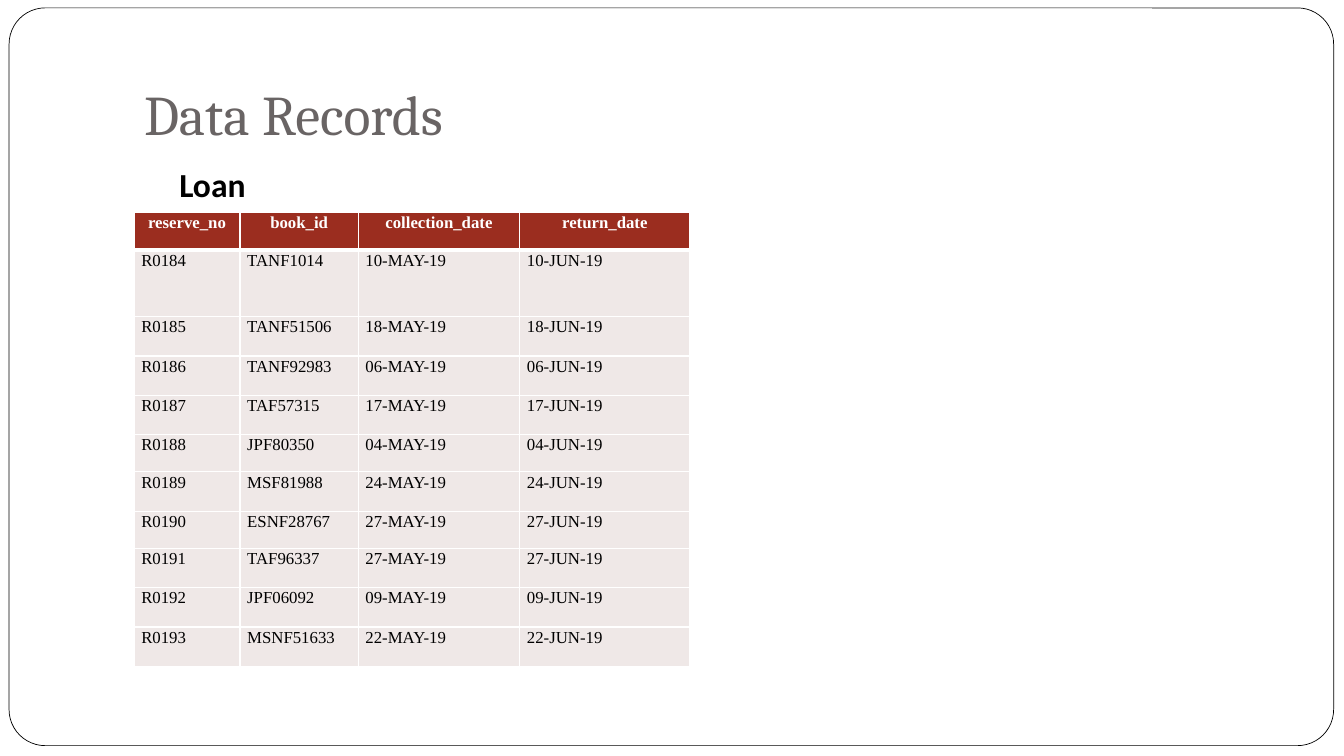
from dataclasses import dataclass

from lxml.etree import SubElement
from pptx import Presentation
from pptx.dml.color import RGBColor
from pptx.enum.shapes import MSO_SHAPE
from pptx.enum.text import MSO_ANCHOR, PP_ALIGN
from pptx.oxml.ns import qn
from pptx.util import Cm, Pt

TITLE = "Data Records"
LABEL = "Loan"
HEADS = ("reserve_no", "book_id", "collection_date", "return_date")
LOANS = [
    ("R0184", "TANF1014", "10-MAY-19", "10-JUN-19"),
    ("R0185", "TANF51506", "18-MAY-19", "18-JUN-19"),
    ("R0186", "TANF92983", "06-MAY-19", "06-JUN-19"),
    ("R0187", "TAF57315", "17-MAY-19", "17-JUN-19"),
    ("R0188", "JPF80350", "04-MAY-19", "04-JUN-19"),
    ("R0189", "MSF81988", "24-MAY-19", "24-JUN-19"),
    ("R0190", "ESNF28767", "27-MAY-19", "27-JUN-19"),
    ("R0191", "TAF96337", "27-MAY-19", "27-JUN-19"),
    ("R0192", "JPF06092", "09-MAY-19", "09-JUN-19"),
    ("R0193", "MSNF51633", "22-MAY-19", "22-JUN-19"),
]
WIDTHS = (2.67, 2.98, 4.07, 4.29)
HEIGHTS = (0.94, 1.68, 0.99, 0.99, 0.99, 0.94, 0.99, 0.94, 0.99, 0.99, 0.99)
LEFT, WIDE = 3.38, 28.78


@dataclass(frozen=True)
class Theme:
    white: str = "FFFFFF"
    black: str = "000000"
    grey: str = "696464"
    red: str = "9B2D1F"
    pale: str = "EFE8E7"
    title: int = 40
    label: int = 24
    cell: int = 12
    serif: str = "Cambria"
    sans: str = "Calibri"
    roman: str = "Times New Roman"


THEME = Theme()


def paint(fill, color):
    fill.solid()
    fill.fore_color.rgb = RGBColor.from_string(color)


def place(shape, *box):
    shape.left, shape.top, shape.width, shape.height = map(Cm, box)


def write(frame, text, *, font, size, color, bold=False, align=PP_ALIGN.LEFT,
          line=1.0, before=0, anchor=MSO_ANCHOR.TOP, pads=(0.25, 0.13, 0.25, 0.13)):
    """Fill a text frame with one paragraph; pads are left, top, right, bottom."""
    frame.word_wrap = True
    frame.vertical_anchor = anchor
    (frame.margin_left, frame.margin_top,
     frame.margin_right, frame.margin_bottom) = map(Cm, pads)
    para = frame.paragraphs[0]
    para.alignment, para.line_spacing = align, line
    para.space_before = Pt(before)
    run = para.add_run()
    run.text = text
    run.font.name, run.font.size, run.font.bold = font, Pt(size), bold
    run.font.color.rgb = RGBColor.from_string(color)


def edge(cell, foot, roof):
    """Draw white borders, with the given bottom and top widths in points."""
    props = cell._tc.get_or_add_tcPr()
    sides = (("lnL", 1), ("lnR", 1), ("lnT", roof), ("lnB", foot))
    for spot, (side, width) in enumerate(sides):
        line = SubElement(props, qn(f"a:{side}"), w=str(Pt(width)))
        fill = SubElement(line, qn("a:solidFill"))
        SubElement(fill, qn("a:srgbClr"), val=THEME.white)
        props.insert(spot, line)


def add_frame(slide):
    frame = slide.shapes.add_shape(
        MSO_SHAPE.ROUNDED_RECTANGLE, Cm(0.23), Cm(0.2), Cm(33.38), Cm(18.59))
    frame.adjustments[0] = 0.049
    frame.shadow.inherit = False
    paint(frame.fill, THEME.white)
    paint(frame.line.fill, THEME.black)
    frame.line.width = Pt(0.5)
    slide.shapes.title.element.addprevious(frame.element)


def add_loans(slide):
    rows = [HEADS, *LOANS]
    table = slide.shapes.add_table(
        len(rows), len(HEADS), Cm(LEFT), Cm(5.36),
        Cm(sum(WIDTHS)), Cm(sum(HEIGHTS))).table
    for col, width in zip(table.columns, WIDTHS):
        col.width = Cm(width)
    for row, height in zip(table.rows, HEIGHTS):
        row.height = Cm(height)
    for r, row in enumerate(rows):
        head = r == 0
        for c, text in enumerate(row):
            cell = table.cell(r, c)
            paint(cell.fill, THEME.red if head else THEME.pale)
            edge(cell, foot=3 if head else 1, roof=3 if r == 1 else 1)
            write(cell.text_frame, text, font=THEME.roman, size=THEME.cell,
                  color=THEME.white if head else THEME.black, bold=head,
                  align=PP_ALIGN.CENTER if head else PP_ALIGN.LEFT, line=1.07)
            cell.margin_left = cell.margin_right = Cm(0.18)
            cell.margin_top = cell.margin_bottom = 0


def main():
    deck = Presentation()
    deck.slide_width, deck.slide_height = Cm(33.87), Cm(19.05)
    slide = deck.slides.add_slide(deck.slide_layouts.get_by_name("Title Only"))
    paint(slide.background.fill, THEME.white)
    add_frame(slide)
    title = slide.shapes.title
    place(title, LEFT, 0.76, WIDE, 3.18)
    write(title.text_frame, TITLE, font=THEME.serif, size=THEME.title,
          color=THEME.grey, anchor=MSO_ANCHOR.BOTTOM, pads=(0.25, 0.13, 0.25, 0.25))
    label = slide.shapes.add_textbox(Cm(LEFT), Cm(4.01), Cm(WIDE), Cm(12.7))
    write(label.text_frame, LABEL, font=THEME.sans, size=THEME.label,
          color=THEME.black, bold=True, before=3.7, pads=(1.14, 0.13, 0.25, 0.13))
    add_loans(slide)
    deck.save("out.pptx")


if __name__ == "__main__":
    main()
